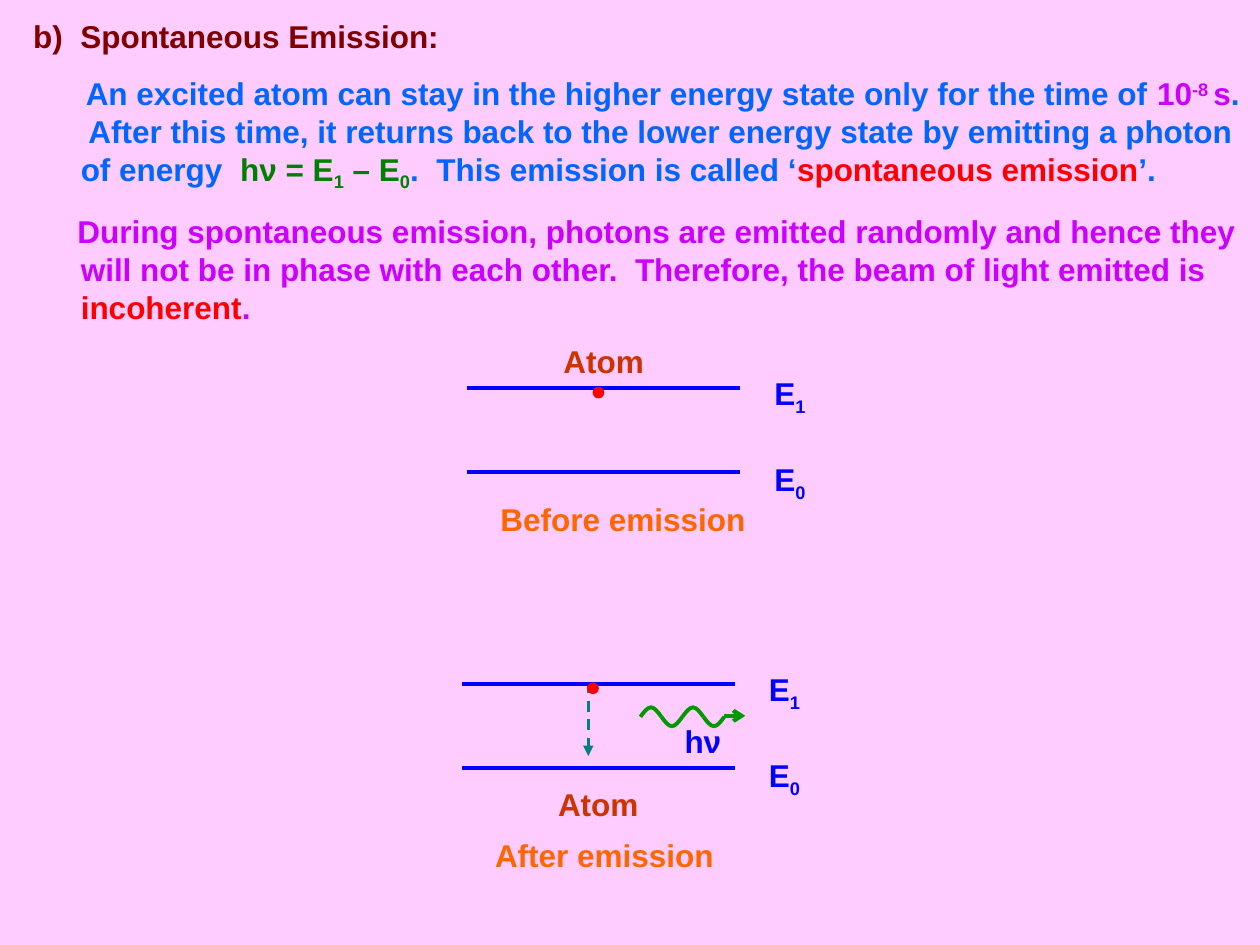
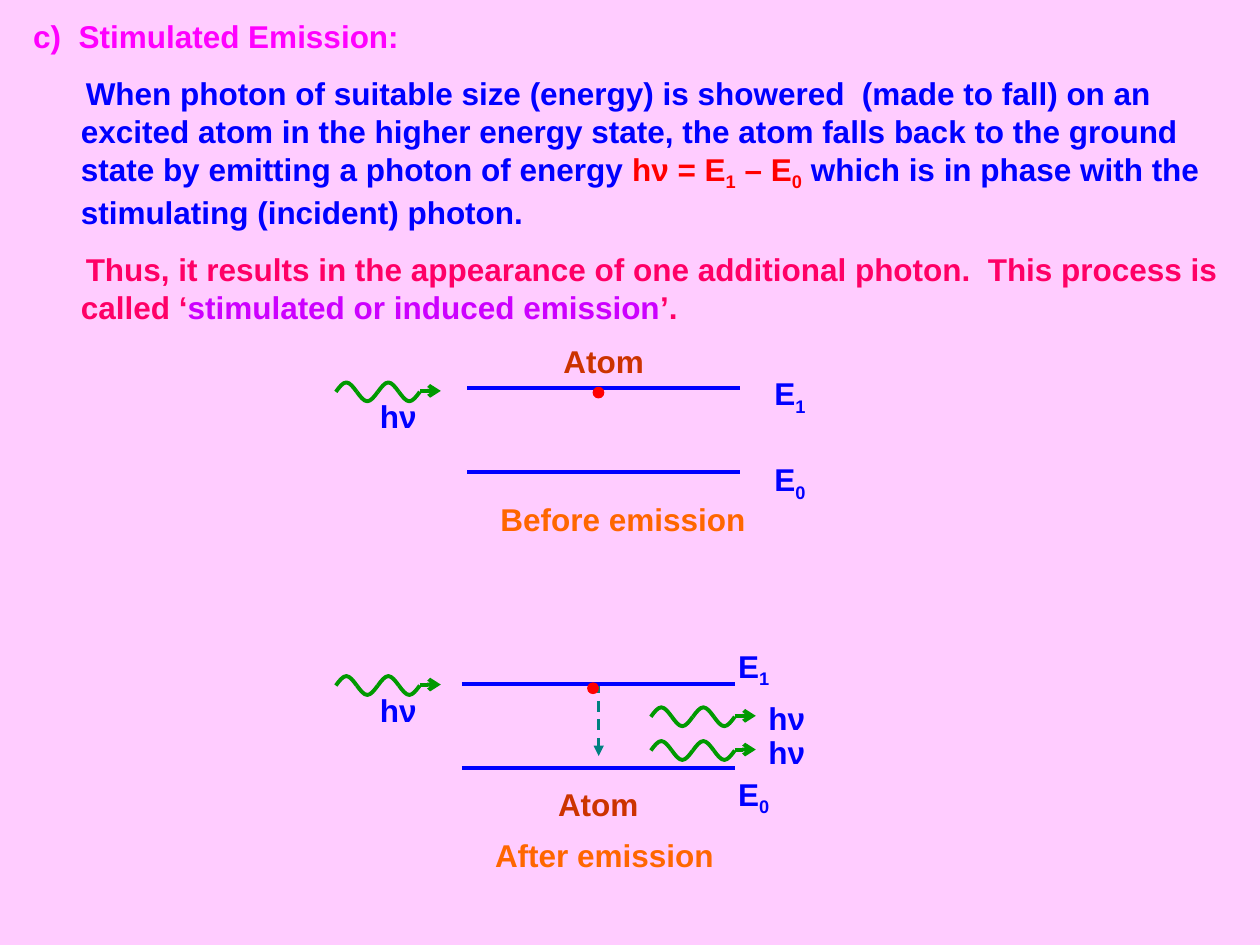
import pptx
import pptx.util
import pptx.dml.color
import pptx.enum.dml
import pptx.enum.shapes
import pptx.enum.text
import pptx.oxml.ns
from lxml import etree

Cm, Pt, qn = pptx.util.Cm, pptx.util.Pt, pptx.oxml.ns.qn
BLUE, SKY, RED, GREEN, MAUVE = "0000FF", "0066FF", "FF0000", "008000", "CC00FF"
ORANGE, RUST, ROSE, TEAL, LEAF = "FF6600", "CC3300", "FF0066", "008080", "009900"
HUMP = 25.4 / 60  # width of half a wave
RISE = 0.19


def hue(code):
    return pptx.dml.color.RGBColor.from_string(code)


def write(home, text, left, top, wide, high=1.02, wrap=True, hang=0, starts=(0,)):
    """Add a text box; text is a list of paragraphs, each a list of
    (words, colour, optional baseline shift in percent)."""
    box = home.add_textbox(Cm(left), Cm(top), Cm(wide), Cm(high))
    frame = box.text_frame
    frame.word_wrap = wrap
    frame.auto_size = pptx.enum.text.MSO_AUTO_SIZE.SHAPE_TO_FIT_TEXT
    for i, (runs, start) in enumerate(zip(text, starts)):
        para = frame.add_paragraph() if i else frame.paragraphs[0]
        para.space_before = Pt(11.2)
        props = para._p.get_or_add_pPr()
        props.set("marL", str(Cm(hang)))
        props.set("indent", str(Cm(start)))
        for words, ink, *shift in runs:
            run = para.add_run()
            run.text = words
            run.font.name = "Arial"
            run.font.size = Pt(18)
            run.font.bold = True
            run.font.color.rgb = hue(ink)
            if shift:
                run._r.get_or_add_rPr().set("baseline", str(shift[0] * 1000))


# names: side and drops of the level names; waves: x, y, label dx, label dy
pages = [
    dict(
        text=[
            [("b)  Spontaneous Emission:", "800000")],
            [("An excited atom can stay in the higher energy state only for the time of ", SKY),
             ("10", MAUVE), ("-8 ", MAUVE, 30), ("s", MAUVE),
             (".  After this time, it returns back to the lower energy state by "
              "emitting a photon of energy  ", SKY),
             ("hν = E", GREEN), ("1", GREEN, -25), (" – E", GREEN), ("0", GREEN, -25),
             (".  This emission is called ‘", SKY), ("spontaneous emission", RED), ("’.", SKY)],
            [("During spontaneous emission, photons are emitted randomly and hence they "
              "will not be in phase with each other.  Therefore, the beam of light "
              "emitted is ", MAUVE), ("incoherent", RED), (".", MAUVE)],
        ],
        starts=(-0.96, 0.1, -0.07),
        names=(5.94, -0.41, 1.32),
        fall=11.86,
        waves=[(12.91, 14.45, 0.64, -0.02)],
    ),
    dict(
        text=[
            [("c)  Stimulated Emission:", "FF00FF")],
            [("When photon of suitable size (energy) is showered  (made to fall) on an "
              "excited atom in the higher energy state, the atom falls back to the "
              "ground state by emitting a photon of energy ", BLUE),
             ("hν = E", RED), ("1", RED, -25), (" – E", RED), ("0", RED, -25),
             (" which is in phase with the stimulating (incident) photon.", BLUE)],
            [("Thus, it results in the appearance of one additional photon.  This "
              "process is called ‘", ROSE),
             ("stimulated or induced emission", MAUVE), ("’.", ROSE)],
        ],
        starts=(-0.96, 0.1, 0.1),
        names=(5.32, -0.88, 1.7),
        fall=12.07,
        waves=[(6.77, 7.9, 0.64, -0.02), (6.77, 13.82, 0.64, -0.02),
               (13.12, 14.45, 2.12, -0.48), (13.12, 15.13, 2.12, -0.48)],
    ),
]

deck = pptx.Presentation()
deck.slide_width, deck.slide_height = Cm(25.4), Cm(19.05)
back = deck.slide_master.background.fill
back.solid()
back.fore_color.rgb = hue("FFCCFF")

for page in pages:
    shapes = deck.slides.add_slide(deck.slide_layouts[6]).shapes
    write(shapes, page["text"], 0.42, 0.21, 24.97, 6.5, hang=0.96, starts=page["starts"])

    # Energy levels before and after: caption, corner, drops of atom and caption, names
    states = [("Before emission", 9.42, 7.83, -1.05, 2.13, pages[0]["names"]),
              ("After emission", 9.31, 13.79, 1.91, 2.93, page["names"])]
    lines = [(shapes, page["fall"], 13.76, page["fall"], 15.24, TEAL, 1.5, "triangle")]
    for title, x, y, atom, foot, (side, *drops) in states:
        for sub, level, drop in zip("10", (y, y + 1.69), drops):
            lines.append((shapes, x, level, x + 5.5, level, BLUE, 2.25, None))
            write(shapes, [[("E", BLUE), (sub, BLUE, -25)]],
                  x + side, y + drop, 1.14, 1.12, wrap=False)
        write(shapes, [[("Atom", RUST)]], x + 1.69, y + atom, 2.33)
        write(shapes, [[(title, ORANGE)]], x + 0.42, y + foot, 5.5)

    # Photons: four humps, an arrow and a label in one group
    for x, y, dx, dy in page["waves"]:
        group = shapes.add_group_shape().shapes
        write(group, [[("hν", BLUE)]], x + dx, y + dy, 1.27)
        for i, sign in enumerate((-1, 1, -1, 1)):
            points = [(Cm(x + HUMP * (i + j / 6)), Cm(y + sign * RISE * high))
                      for j, high in enumerate((0, 0.5, 1, 1, 1, 0.5, 0))]
            pen = group.build_freeform(*points[0], scale=1.0)
            pen.add_line_segments(points[1:], close=False)
            wave = pen.convert_to_shape()
            wave.shadow.inherit = False
            wave.fill.background()
            wave.line.color.rgb = hue(LEAF)
            wave.line.width = Pt(2.25)
            # Turn each three straight steps into one Bézier curve
            steps = list(wave._element.iter(qn("a:lnTo")))
            for k in (0, 3):
                curve = etree.SubElement(steps[k].getparent(), qn("a:cubicBezTo"))
                for step in steps[k:k + 3]:
                    curve.append(step[0])
                    step.getparent().remove(step)
        lines.append((group, x + 4 * HUMP, y - 0.02, x + 5 * HUMP, y - 0.02,
                      LEAF, 2.25, "arrow"))

    for home, x1, y1, x2, y2, ink, wide, head in lines:
        line = home.add_connector(pptx.enum.shapes.MSO_CONNECTOR.STRAIGHT,
                                  Cm(x1), Cm(y1), Cm(x2), Cm(y2))
        line.line.color.rgb = hue(ink)
        line.line.width = Pt(wide)
        if head == "triangle":
            line.line.dash_style = pptx.enum.dml.MSO_LINE.DASH
        if head:
            tail = etree.SubElement(line.line._get_or_add_ln(), qn("a:tailEnd"))
            tail.set("type", head)
        etree.SubElement(line._element.spPr, qn("a:effectLst"))

    for title, x, y, *rest in states:
        dot = shapes.add_shape(pptx.enum.shapes.MSO_SHAPE.OVAL,
                               Cm(x + 2.54), Cm(y - 0.02), Cm(0.21), Cm(0.21))
        dot.shadow.inherit = False
        dot.fill.solid()
        dot.fill.fore_color.rgb = dot.line.color.rgb = hue(RED)
        dot.line.width = Pt(0.75)

deck.save("out.pptx")
